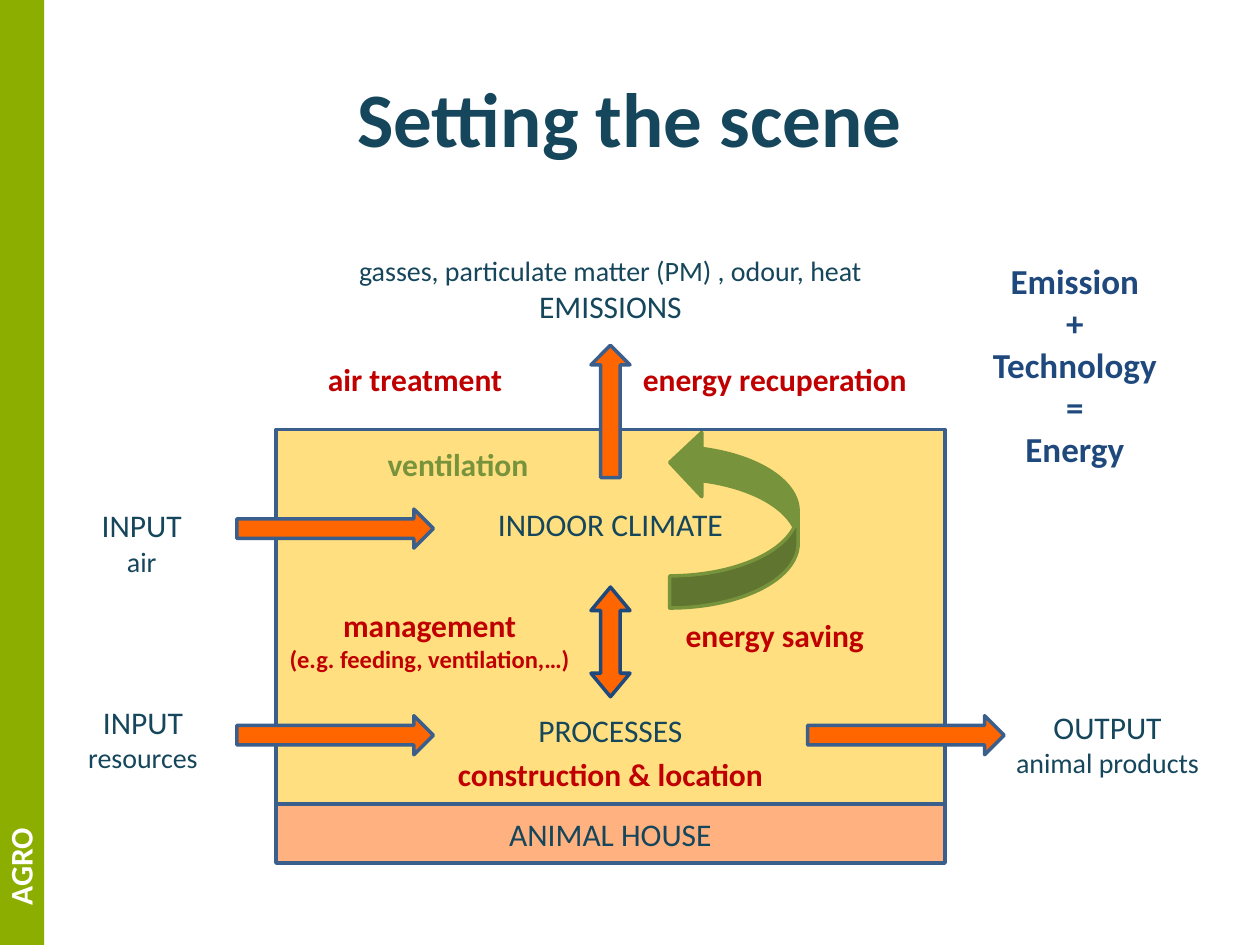
from pptx import Presentation
from pptx.dml.color import RGBColor
from pptx.enum.shapes import MSO_SHAPE
from pptx.enum.text import MSO_ANCHOR, PP_ALIGN
from pptx.oxml.ns import qn
from pptx.util import Inches, Pt
from lxml import etree

RECT, RIGHT = MSO_SHAPE.RECTANGLE, MSO_SHAPE.RIGHT_ARROW
UP_DOWN, CURVED = MSO_SHAPE.UP_DOWN_ARROW, MSO_SHAPE.CURVED_UP_ARROW
CENTER, MIDDLE, TOP = PP_ALIGN.CENTER, MSO_ANCHOR.MIDDLE, MSO_ANCHOR.TOP

FONT = "Calibri"
TEAL = RGBColor(0x15, 0x46, 0x5B)
RED = RGBColor(0xC0, 0x00, 0x00)
GREEN = RGBColor(0x77, 0x93, 0x3C)
LIME = RGBColor(0x8B, 0xAE, 0x00)
NAVY = RGBColor(0x1F, 0x49, 0x7D)
STEEL = RGBColor(0x3A, 0x5F, 0x8C)
ORANGE = RGBColor(0xFF, 0x66, 0x00)
AMBER = RGBColor(0xFF, 0xC0, 0x00)
WHITE = RGBColor(0xFF, 0xFF, 0xFF)

# The animal house, whose left edge and width its centred labels share
HOUSE_LEFT, HOUSE_WIDTH = 2.19, 5.31
FLOW_LENGTH, ARROW_THICKNESS = 1.56, 0.31

# kind, (left, top, width, height), fill, line, rotation, opacity in percent
SHAPES = [
    (RECT, (0, 0, 0.35, 7.5), LIME, None, 0, 100),
    (RECT, (HOUSE_LEFT, 3.41, HOUSE_WIDTH, 2.97), AMBER, STEEL, 0, 50),
    (RECT, (HOUSE_LEFT, 6.38, HOUSE_WIDTH, 0.47), ORANGE, STEEL, 0, 50),
    (RIGHT, (4.32, 3.11, 1.05, ARROW_THICKNESS), ORANGE, STEEL, 270, 100),
    (UP_DOWN, (4.69, 4.66, ARROW_THICKNESS, 0.87), ORANGE, NAVY, 0, 100),
    (CURVED, (5.12, 3.61, 1.41, 1.02), GREEN, GREEN, 270, 100),
]

# Left and top of the horizontal input and output arrows
FLOWS = [(1.88, 4.04), (1.88, 5.68), (6.41, 5.68)]

# (left, top, width, height), colour, bold, lines of (text, size)
LABELS = [
    ((0.22, 3.97, 1.81, 0.67), TEAL, False, [("INPUT", 18), ("air", 16)]),
    ((0.08, 5.53, 2.11, 0.67), TEAL, False, [("INPUT", 18), ("resources", 16)]),
    ((7.85, 5.57, 1.88, 0.67), TEAL, False,
     [("OUTPUT", 18), ("animal products", 16)]),
    ((HOUSE_LEFT, 1.96, HOUSE_WIDTH, 0.67), TEAL, False,
     [("gasses, particulate matter (PM) , odour, heat", 16), ("EMISSIONS", 18)]),
    ((HOUSE_LEFT, 3.96, HOUSE_WIDTH, 0.4), TEAL, False, [("INDOOR CLIMATE", 18)]),
    ((HOUSE_LEFT, 5.59, HOUSE_WIDTH, 0.4), TEAL, False, [("PROCESSES", 18)]),
    ((HOUSE_LEFT, 5.94, HOUSE_WIDTH, 0.4), RED, True,
     [("construction & location", 18)]),
    ((2.97, 3.48, 1.33, 0.4), GREEN, True, [("ventilation", 18)]),
    ((1.88, 2.81, 2.83, 0.4), RED, True, [("air treatment", 18)]),
    ((4.86, 2.81, 2.58, 0.4), RED, True, [("energy recuperation", 18)]),
    ((2.12, 4.76, 2.58, 0.64), RED, True,
     [("management", 18), ("(e.g. feeding, ventilation,…)", 14)]),
    ((4.86, 4.84, 2.58, 0.4), RED, True, [("energy saving", 18)]),
    ((7.59, 2.01, 1.88, 1.78), NAVY, True,
     [(word, 20) for word in ("Emission", "+", "Technology", "=", "Energy")]),
]
TITLE = ((0.5, 0.3, 9, 1.25), TEAL, True, [("Setting the scene", 44)])
FLOOR_LABEL = ((HOUSE_LEFT, 6.38, HOUSE_WIDTH, 0.47), TEAL, False,
               [("ANIMAL HOUSE", 18)])
# Turned a quarter about its centre, so its width runs up the side bar
SIDE_LABEL = ((-0.34, 6.68, 1, 0.4), WHITE, True, [("AGRO", 18)])


def add_shape(page, kind, place, fill, line, rotation=0, opacity=100):
    shape = page.shapes.add_shape(kind, *map(Inches, place))
    shape.shadow.inherit = False
    shape.rotation = rotation
    shape.fill.solid()
    shape.fill.fore_color.rgb = fill
    if opacity < 100:
        color = shape.fill._xPr.find(qn("a:solidFill"))[0]
        etree.SubElement(color, qn("a:alpha"), val=str(opacity * 1000))
    if line is None:
        shape.line.fill.background()
    else:
        shape.line.color.rgb = line
        shape.line.width = Pt(2)
    return shape


def add_label(page, place, color, bold, lines, anchor=TOP):
    box = page.shapes.add_textbox(*map(Inches, place))
    frame = box.text_frame
    frame.word_wrap = True
    frame.vertical_anchor = anchor
    for index, (text, size) in enumerate(lines):
        para = frame.add_paragraph() if index else frame.paragraphs[0]
        para.text = text
        para.alignment = CENTER
        para.font.name = FONT
        para.font.size = Pt(size)
        para.font.bold = bold
        para.font.color.rgb = color
    return box


def main():
    deck = Presentation()
    deck.slide_width, deck.slide_height = Inches(10), Inches(7.5)
    page = deck.slides.add_slide(deck.slide_layouts[6])

    # House, side bar and arrows
    for item in SHAPES:
        shape = add_shape(page, *item)
        if item[0] == UP_DOWN:
            # The last adjustment is the length of the arrowheads
            shape.adjustments[-1] = 0.6
    for left, top in FLOWS:
        add_shape(page, RIGHT, (left, top, FLOW_LENGTH, ARROW_THICKNESS),
                  ORANGE, STEEL)

    # Text
    add_label(page, *TITLE, anchor=MIDDLE)
    add_label(page, *FLOOR_LABEL, anchor=MIDDLE)
    add_label(page, *SIDE_LABEL).rotation = 270
    for label in LABELS:
        add_label(page, *label)

    deck.save("out.pptx")


if __name__ == "__main__":
    main()
